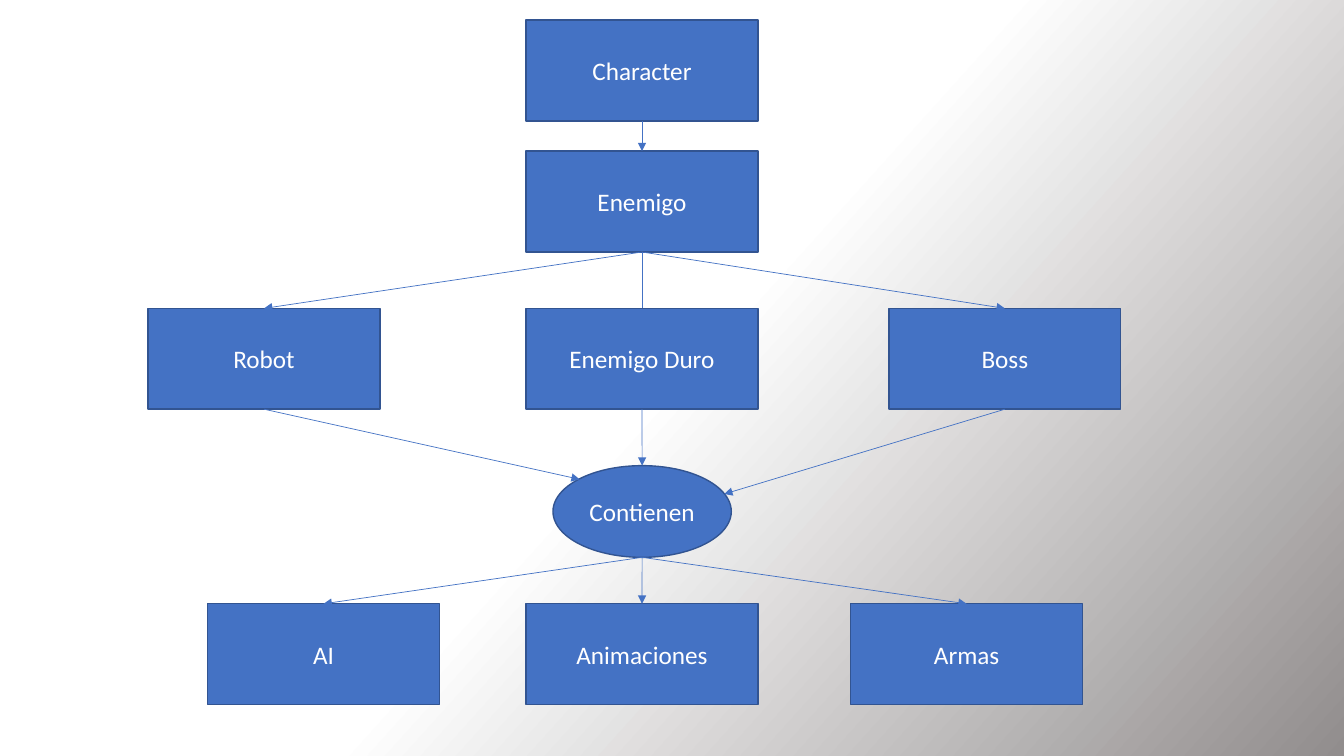
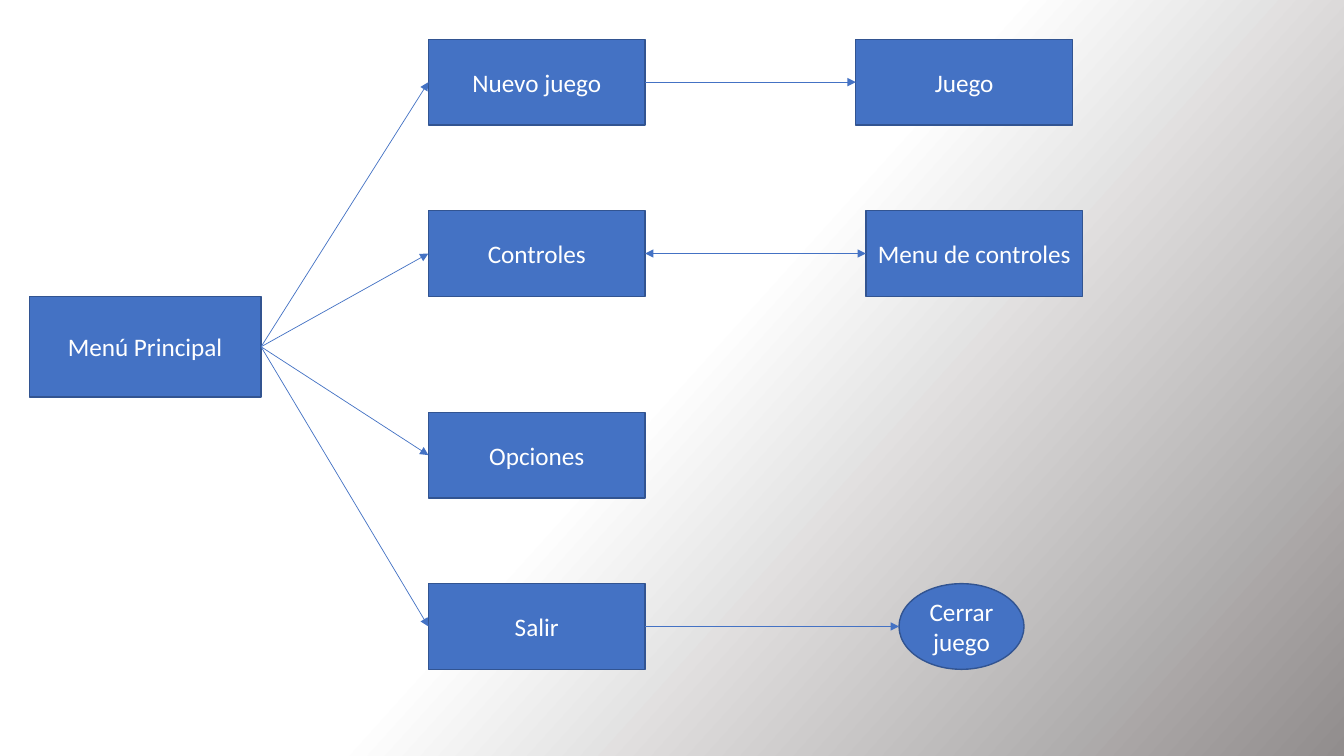
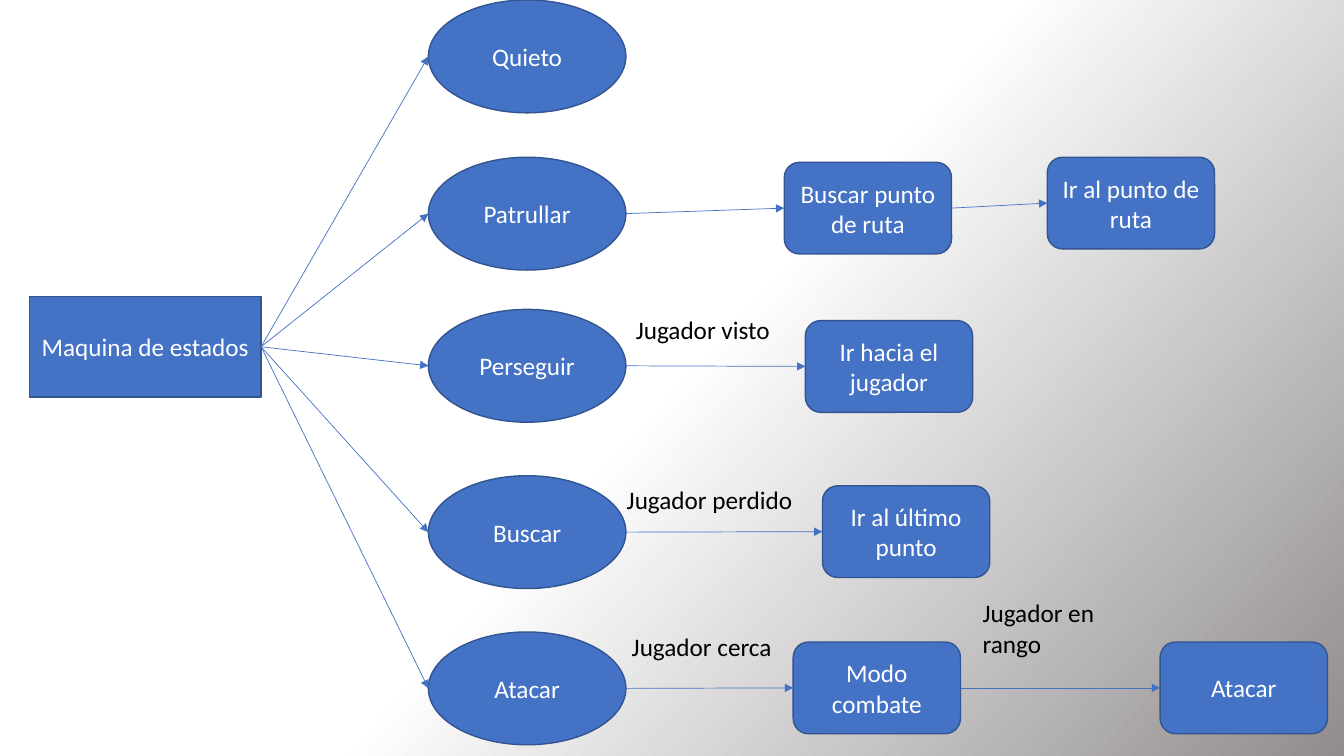
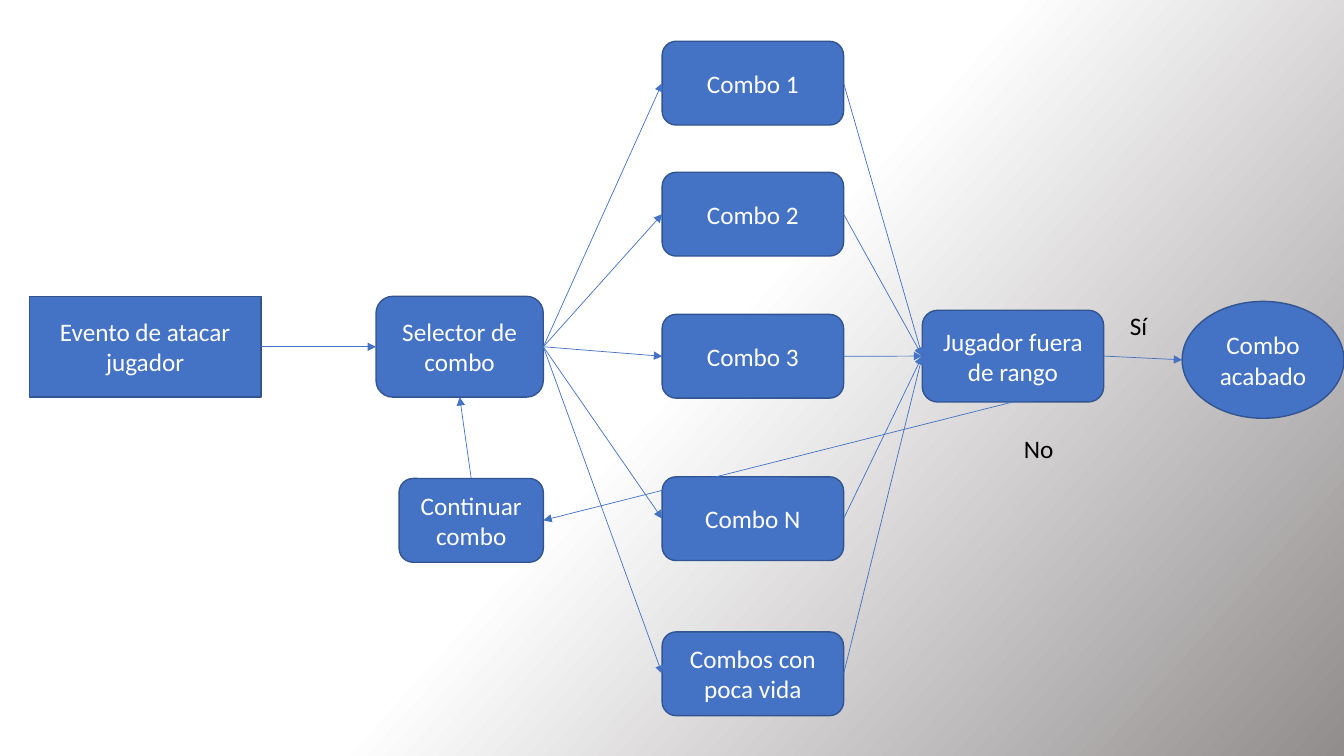
import copy
import dataclasses
import lxml.etree
import pptx
import pptx.dml.color
import pptx.enum.shapes
import pptx.enum.text
import pptx.oxml.ns
import pptx.util

RGB = pptx.dml.color.RGBColor
WHITE = RGB(0xFF, 0xFF, 0xFF)
BLACK = RGB(0x00, 0x00, 0x00)
GRAY = RGB(0x91, 0x8D, 0x8D)
BLUE = RGB(0x44, 0x72, 0xC4)
NAVY = RGB(0x32, 0x54, 0x91)

Pt = pptx.util.Pt
qn = pptx.oxml.ns.qn
ALIGN = pptx.enum.text.PP_ALIGN
ANCHOR = pptx.enum.text.MSO_ANCHOR
KIND = pptx.enum.shapes.MSO_SHAPE
RECT, OVAL, ROUND = KIND.RECTANGLE, KIND.OVAL, KIND.ROUNDED_RECTANGLE

TOP, LEFT, BASE, RIGHT = SIDES = [(0.5, 0), (0, 0.5), (0.5, 1), (1, 0.5)]


@dataclasses.dataclass
class Box:
    """A region of the slide, in points."""
    x: float
    y: float
    w: float
    h: float

    def sub(self, x, y, w, h):
        """Return a box placed relative to this one."""
        return Box(self.x + x, self.y + y, w, h)

    def pts(self):
        """Return the four lengths for python-pptx."""
        return [Pt(n) for n in (self.x, self.y, self.w, self.h)]


def write(shape, text, color=WHITE, align=ALIGN.CENTER, anchor=ANCHOR.MIDDLE,
          size=18, font="Calibri"):
    """Put formatted text in a shape."""
    frame = shape.text_frame
    frame.word_wrap = True
    frame.vertical_anchor = anchor
    para = frame.paragraphs[0]
    para.alignment = align
    run = para.add_run()
    run.text = text
    run.font.name = font
    run.font.size = Pt(size)
    run.font.color.rgb = color


def node(slide, kind, box, text):
    """Add a blue diagram node."""
    shape = slide.shapes.add_shape(kind, *box.pts())
    shape.shadow.inherit = False
    shape.fill.solid()
    shape.fill.fore_color.rgb = BLUE
    shape.line.color.rgb = NAVY
    shape.line.width = Pt(1)
    write(shape, text)
    return shape


def label(slide, box, text):
    """Add a black caption beside an arrow."""
    shape = slide.shapes.add_textbox(*box.pts())
    write(shape, text, color=BLACK, align=ALIGN.LEFT, anchor=ANCHOR.TOP)
    shape.text_frame.auto_size = pptx.enum.text.MSO_AUTO_SIZE.SHAPE_TO_FIT_TEXT


def spot(shape, side):
    """Return the point at a fraction of a shape's box."""
    return (round(shape.left + shape.width * side[0]),
            round(shape.top + shape.height * side[1]))


def link(slide, start, out, end, into, heads=("tailEnd",)):
    """Join two nodes, glued where the shape has four sites."""
    line = slide.shapes.add_connector(
        pptx.enum.shapes.MSO_CONNECTOR.STRAIGHT,
        *spot(start, out), *spot(end, into))
    if start.auto_shape_type != OVAL:
        line.begin_connect(start, SIDES.index(out))
    if end.auto_shape_type != OVAL:
        line.end_connect(end, SIDES.index(into))
    line.line.color.rgb = BLUE
    line.line.width = Pt(0.5)
    props = line.element.spPr
    for head in heads:
        lxml.etree.SubElement(props.find(qn("a:ln")), qn("a:" + head),
                              type="triangle")
    lxml.etree.SubElement(props, qn("a:effectLst"))


def fan(slide, hub, out, nodes, into):
    """Draw an arrow from a hub to each node."""
    for item in nodes:
        link(slide, hub, out, item, into)


def row(slide, box, lefts, texts):
    """Add a row of rectangles inside a box."""
    return [node(slide, RECT, box.sub(x, 0, 165.6, 72), text)
            for x, text in zip(lefts, texts)]


def stack(slide, kind, box, size, items):
    """Add a column of equal nodes from pairs of top and text."""
    return [node(slide, kind, box.sub(0, y, *size), text) for y, text in items]


def root(slide, box, text):
    """Add the starting node at the left."""
    return node(slide, RECT, box.sub(20.9, 211.7, 165.6, 72), text)


def tree(slide, box):
    """Draw the class tree of the enemies."""
    mid = 375.8
    hero, foe = stack(slide, RECT, box.sub(mid, 0, 165.6, 180), (165.6, 72),
                      [(14.4, "Character"), (108, "Enemigo")])
    kinds = row(slide, box.sub(0, 220.3, box.w, 72), (105.8, mid, 635),
                ("Robot", "Enemigo Duro", "Boss"))
    parts = row(slide, box.sub(0, 431.3, box.w, 72), (148.3, mid, 607.7),
                ("AI", "Animaciones", "Armas"))
    hub = node(slide, OVAL, box.sub(395, 332.6, 127.4, 65.5), "Contienen")
    robot, tough, boss = kinds
    link(slide, hero, BASE, foe, TOP)
    fan(slide, foe, BASE, (robot, boss), TOP)
    link(slide, foe, BASE, tough, TOP, heads=())
    for item, into in zip(kinds, ((0.15, 0.15), TOP, (0.96, 0.31))):
        link(slide, item, BASE, hub, into)
    fan(slide, hub, BASE, parts, TOP)


def menu(slide, box):
    """Draw the flow of the main menu."""
    size = 154.8, 61.2
    main = root(slide, box, "Menú Principal")
    tops = 28.1, 150.5, 294.5, 416.9
    picks = stack(slide, RECT, box.sub(306, 0, 154.8, box.h), size,
                  zip(tops, ("Nuevo juego", "Controles", "Opciones", "Salir")))
    start, keys, _, leave = picks
    game = node(slide, RECT, box.sub(611.3, tops[0], *size), "Juego")
    page = node(slide, RECT, box.sub(618.5, tops[1], *size),
                "Menu de controles")
    close = node(slide, OVAL, box.sub(642.2, tops[3], 89.3, 61.2),
                 "Cerrar juego")
    fan(slide, main, RIGHT, picks, LEFT)
    link(slide, start, RIGHT, game, LEFT)
    link(slide, leave, RIGHT, close, LEFT)
    link(slide, keys, RIGHT, page, LEFT, heads=("headEnd", "tailEnd"))


def states(slide, box):
    """Draw the state machine and the steps of each state."""
    hub = root(slide, box, "Maquina de estados")
    modes = stack(slide, OVAL, box.sub(306, 0, 141.1, box.h), (141.1, 80.6),
                  [(0, "Quieto"), (112.3, "Patrullar"), (221, "Perseguir"),
                   (339.8, "Buscar"), (451.4, "Atacar")])
    fan(slide, hub, RIGHT, modes, LEFT)
    chains = [
        [(560.2, 115.9, "Buscar punto de ruta"),
         (748.1, 112.3, "Ir al punto de ruta")],
        [(575.3, 229, "Ir hacia el jugador")],
        [(587.5, 347, "Ir al último punto")],
        [(566.6, 458.6, "Modo combate"), (828.7, 458.6, "Atacar")],
    ]
    for last, chain in zip(modes[1:], chains):
        for x, y, text in chain:
            step = node(slide, ROUND, box.sub(x, y, 119.5, 65.5), text)
            link(slide, last, RIGHT, step, LEFT)
            last = step
    for x, y, w, h, text in ((447.1, 221, 119.5, 29, "Jugador visto"),
                             (440.6, 342.7, 140.4, 29, "Jugador perdido"),
                             (444.2, 447.1, 119.5, 29, "Jugador cerca"),
                             (694.8, 423.4, 119.5, 51, "Jugador en rango")):
        label(slide, box.sub(x, y, w, h), text)


def combos(slide, box):
    """Draw the loop that picks and ends combos."""
    event = root(slide, box, "Evento de atacar jugador")
    pick = node(slide, ROUND, box.sub(268.6, 211.7, 119.5, 72),
                "Selector de combo")
    moves = stack(slide, ROUND, box.sub(473, 0, 129.6, box.h), (129.6, 59.8),
                  [(29.5, "Combo 1"), (123.1, "Combo 2"), (224.6, "Combo 3"),
                   (340.6, "Combo N"), (451.4, "Combos con poca vida")])
    done = node(slide, OVAL, box.sub(844.4, 215.3, 115.6, 83.5),
                "Combo acabado")
    test = node(slide, ROUND, box.sub(658.8, 221.6, 129.6, 65.5),
                "Jugador fuera de rango")
    more = node(slide, ROUND, box.sub(285.1, 341.8, 103, 59.8),
                "Continuar combo")
    link(slide, event, RIGHT, pick, LEFT)
    fan(slide, pick, RIGHT, moves, LEFT)
    for move in moves:
        link(slide, move, RIGHT, test, LEFT)
    link(slide, test, RIGHT, done, LEFT)
    link(slide, test, BASE, more, RIGHT)
    link(slide, more, TOP, pick, BASE)
    label(slide, box.sub(799.9, 218.2, 44.6, 29), "Sí")
    label(slide, box.sub(724.3, 306, 49, 29), "No")


def shade(master):
    """Give the master its diagonal gradient."""
    fill = master.background.fill
    fill.gradient()
    fill.gradient_angle = 360 - 42
    stops = next(master.element.iter(qn("a:gsLst")))
    stops.insert(1, copy.deepcopy(stops[0]))
    for stop, place, color in zip(fill.gradient_stops, (0, 0.5, 1),
                                  (WHITE, WHITE, GRAY)):
        stop.position = place
        stop.color.rgb = color


def main():
    """Build and save the deck."""
    deck = pptx.Presentation()
    deck.slide_width, deck.slide_height = Pt(960), Pt(540)
    shade(deck.slide_master)
    for draw in (tree, menu, states, combos):
        draw(deck.slides.add_slide(deck.slide_layouts[6]), Box(0, 0, 960, 540))
    deck.save("out.pptx")


main()
